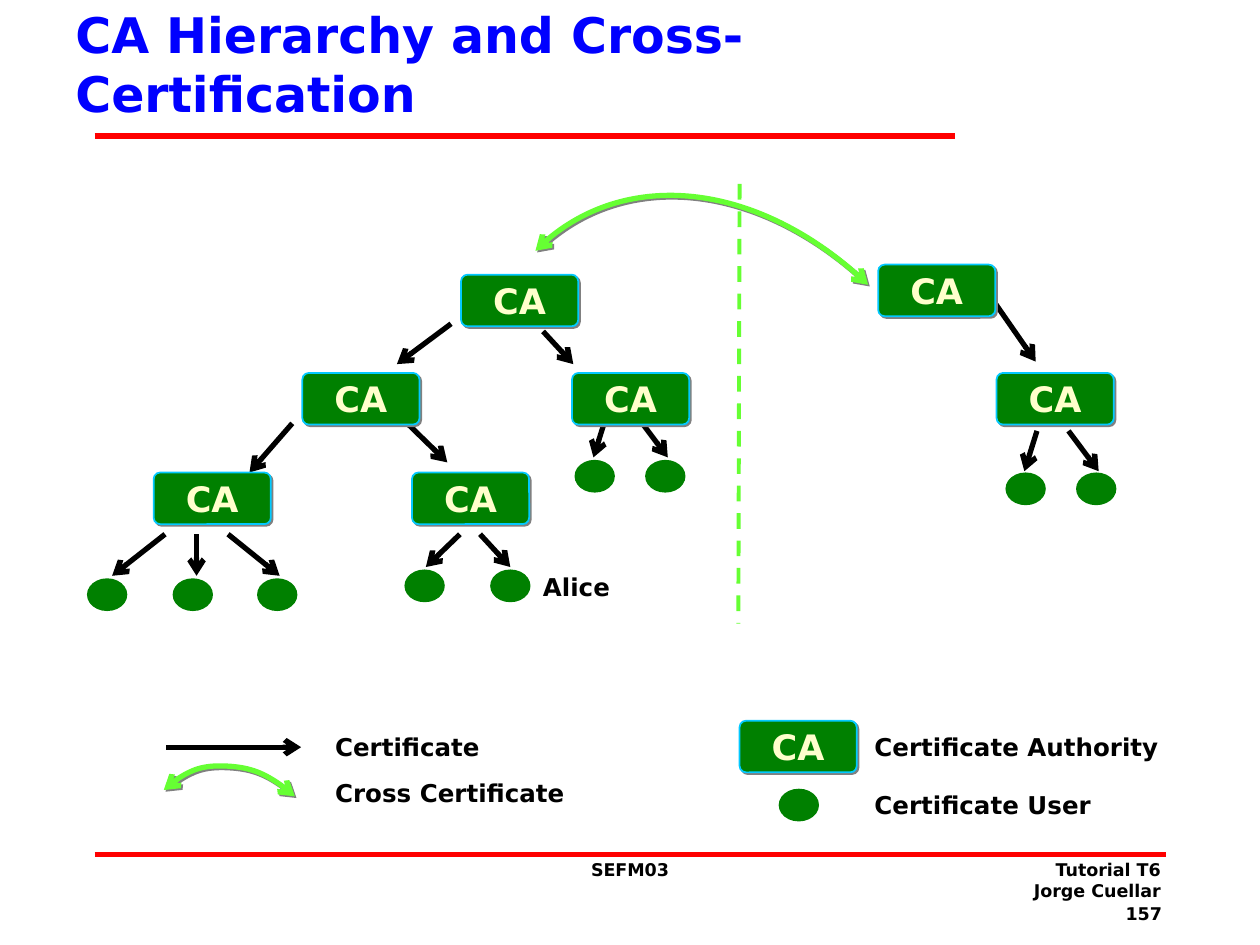
import pptx
import pptx.dml.color
import pptx.enum.dml
import pptx.enum.shapes
import pptx.enum.text
import pptx.oxml
import pptx.oxml.ns
import pptx.util

RGBColor = pptx.dml.color.RGBColor
BLACK = RGBColor(0x00, 0x00, 0x00)
BLUE = RGBColor(0x00, 0x00, 0xFF)
RED = RGBColor(0xFF, 0x00, 0x00)
GREEN = RGBColor(0x00, 0x80, 0x00)
LIME = RGBColor(0x66, 0xFF, 0x33)
CYAN = RGBColor(0x03, 0xC9, 0xFF)
CREAM = RGBColor(0xFF, 0xFF, 0xCC)
SHAPE = pptx.enum.shapes.MSO_SHAPE
ALIGN = pptx.enum.text.PP_ALIGN
ANCHOR = pptx.enum.text.MSO_ANCHOR
FONT = "DejaVu Sans"
NAMESPACE = pptx.oxml.ns.nsdecls("a")

deck = pptx.Presentation()
deck.slide_width = pptx.util.Inches(10)
deck.slide_height = pptx.util.Inches(7.5)
page = deck.slides.add_slide(deck.slide_layouts[6])

# All positions below count columns and rows of this grid.
COLUMN = deck.slide_width / 100
ROW = deck.slide_height / 75


def write(box, text, size, color, align=ALIGN.LEFT, anchor=ANCHOR.TOP, margin=1, wrap=True):
    """Put bold text in a shape; the margin is in columns, half of it above and below."""
    frame = box.text_frame
    frame.word_wrap = wrap
    frame.vertical_anchor = anchor
    frame.margin_left = frame.margin_right = round(margin * COLUMN)
    frame.margin_top = frame.margin_bottom = round(margin * ROW / 2)
    frame.text = text
    for paragraph in frame.paragraphs:
        paragraph.alignment = align
        for span in paragraph.runs:
            span.font.name = FONT
            span.font.size = pptx.util.Pt(size)
            span.font.bold = True
            span.font.color.rgb = color


def add_line(start_x, start_y, end_x, end_y, color, width=3):
    line = page.shapes.add_connector(
        pptx.enum.shapes.MSO_CONNECTOR.STRAIGHT,
        round(start_x * COLUMN), round(start_y * ROW),
        round(end_x * COLUMN), round(end_y * ROW))
    line.line.color.rgb = color
    line.line.width = pptx.util.Pt(width)
    line._element.spPr.append(pptx.oxml.parse_xml(f"<a:effectLst {NAMESPACE}/>"))
    return line


# Rules above and below the content
add_line(7.5, 10.8, 75.8, 10.8, RED)
add_line(7.5, 67.8, 92.5, 67.8, RED)

# Title, footer and labels
texts = [
    (5, 0, 66.9, 10.1, "CA Hierarchy and Cross-Certification", 28, BLUE, ALIGN.LEFT, ANCHOR.MIDDLE),
    (85.2, 71.2, 8, 2.5, "157", 10, BLACK, ALIGN.RIGHT, ANCHOR.TOP),
    (39.6, 67.7, 20.8, 5, "SEFM03", 10, BLACK, ALIGN.CENTER, ANCHOR.TOP),
    (72.3, 67.7, 20.8, 5, "Tutorial T6\nJorge Cuellar", 10, BLACK, ALIGN.RIGHT, ANCHOR.TOP),
]
labels = [
    (43.1, 45.1, 5.6, "Alice"),
    (26.6, 57.8, 11.7, "Certificate"),
    (26.6, 61.5, 18.5, "Cross Certificate"),
    (69.4, 57.8, 23, "Certificate Authority"),
    (69.4, 62.4, 17.5, "Certificate User"),
]
for left, top, width, height, text, size, color, align, anchor in texts:
    box = page.shapes.add_textbox(
        round(left * COLUMN), round(top * ROW), round(width * COLUMN), round(height * ROW))
    write(box, text, size, color, align, anchor)
for left, top, width, text in labels:
    box = page.shapes.add_textbox(
        round(left * COLUMN), round(top * ROW), round(width * COLUMN), round(2.9 * ROW))
    write(box, text, 14, BLACK, anchor=ANCHOR.MIDDLE, margin=0, wrap=False)

# Border between the two hierarchies
border = add_line(58.7, 14.6, 58.6, 49.5, LIME, 2.25)
border.line.dash_style = pptx.enum.dml.MSO_LINE.DASH

# Cross certificates: a start point, then three points for each Bezier piece
cross_certificates = [
    [(42.5, 19.9), (48.8, 13.4), (60.6, 14.6), (68.9, 22.6)],
    [(13, 62.7), (14.3, 61.4), (16.1, 60.7), (18, 60.8),
     (20, 60.9), (21.9, 61.8), (23.4, 63.2)],
]
shadowed = []
for points in cross_certificates:
    corners = [(round(x * COLUMN), round(y * ROW)) for x, y in points]
    builder = page.shapes.build_freeform(*corners[0])
    builder.add_line_segments(corners[1:], close=False)
    curve = builder.convert_to_shape()
    curve.fill.background()
    curve.line.color.rgb = LIME
    curve.line.width = pptx.util.Pt(3)
    segments = curve._element.findall(".//" + pptx.oxml.ns.qn("a:lnTo"))
    outline = segments[0].getparent()
    for first in range(0, len(segments), 3):
        bezier = pptx.oxml.parse_xml(f"<a:cubicBezTo {NAMESPACE}/>")
        for segment in segments[first:first + 3]:
            bezier.append(segment[0])
            outline.remove(segment)
        outline.append(bezier)
    for end in ("headEnd", "tailEnd"):
        curve.line._get_or_add_ln().append(
            pptx.oxml.parse_xml(f'<a:{end} {NAMESPACE} type="arrow"/>'))
    shadowed.append(curve)

# Certificates
certificates = [
    (82.3, 34.2, 81.3, 37.4), (84.8, 34.2, 87.2, 37.4), (79, 24.1, 82.2, 28.7),
    (35.8, 25.7, 31.5, 28.9), (23.2, 33.6, 19.8, 37.5), (31.5, 32.8, 35.5, 36.7),
    (43.1, 26.3, 45.5, 28.9), (13.1, 42.4, 8.9, 45.7), (15.6, 42.4, 15.6, 45.7),
    (18.1, 42.4, 22.2, 45.7), (36.5, 42.4, 33.8, 45), (38.1, 42.4, 40.5, 45),
    (48.1, 33.1, 47.1, 36.3), (50.6, 33.1, 53, 36.3), (13.2, 59.3, 23.9, 59.3),
]
for ends in certificates:
    arrow = add_line(*ends, BLACK)
    arrow.line._get_or_add_ln().append(
        pptx.oxml.parse_xml(f'<a:tailEnd {NAMESPACE} type="arrow"/>'))

# Certificate users: row, then the columns in that row
users = [
    (37.5, (79.8, 85.4)), (36.5, (45.6, 51.2)), (45.2, (32.1, 38.9)),
    (45.9, (6.9, 13.7, 20.4)), (62.6, (61.8,)),
]
for top, columns in users:
    for left in columns:
        user = page.shapes.add_shape(
            SHAPE.OVAL, round(left * COLUMN), round(top * ROW), round(3.2 * COLUMN), round(2.6 * ROW))
        user.shadow.inherit = False
        user.fill.solid()
        user.fill.fore_color.rgb = GREEN
        user.line.fill.background()

# Certificate authorities: row, then the columns in that row
authorities = [
    (57.2, (58.7,)), (29.6, (79.1, 45.4, 24)), (21.8, (36.6,)),
    (21, (69.7,)), (37.5, (32.7, 12.2)),
]
for top, columns in authorities:
    for left in columns:
        authority = page.shapes.add_shape(
            SHAPE.ROUNDED_RECTANGLE,
            round(left * COLUMN), round(top * ROW), round(9.3 * COLUMN), round(4.1 * ROW))
        authority.adjustments[0] = 0.125
        authority.fill.solid()
        authority.fill.fore_color.rgb = GREEN
        authority.line.color.rgb = CYAN
        authority.line.width = pptx.util.Pt(1)
        write(authority, "CA", 20, CREAM, ALIGN.CENTER, ANCHOR.MIDDLE, wrap=False)
        shadowed.append(authority)

# Hard grey shadow, down and to the right
for shape in shadowed:
    shape.shadow.inherit = False
    effects = shape._element.spPr.find(pptx.oxml.ns.qn("a:effectLst"))
    effects.append(pptx.oxml.parse_xml(
        f'<a:outerShdw {NAMESPACE} blurRad="0" dist="{pptx.util.Pt(1.4)}" dir="2700000" '
        'algn="ctr" rotWithShape="0"><a:srgbClr val="808080"/></a:outerShdw>'))

deck.save("out.pptx")
